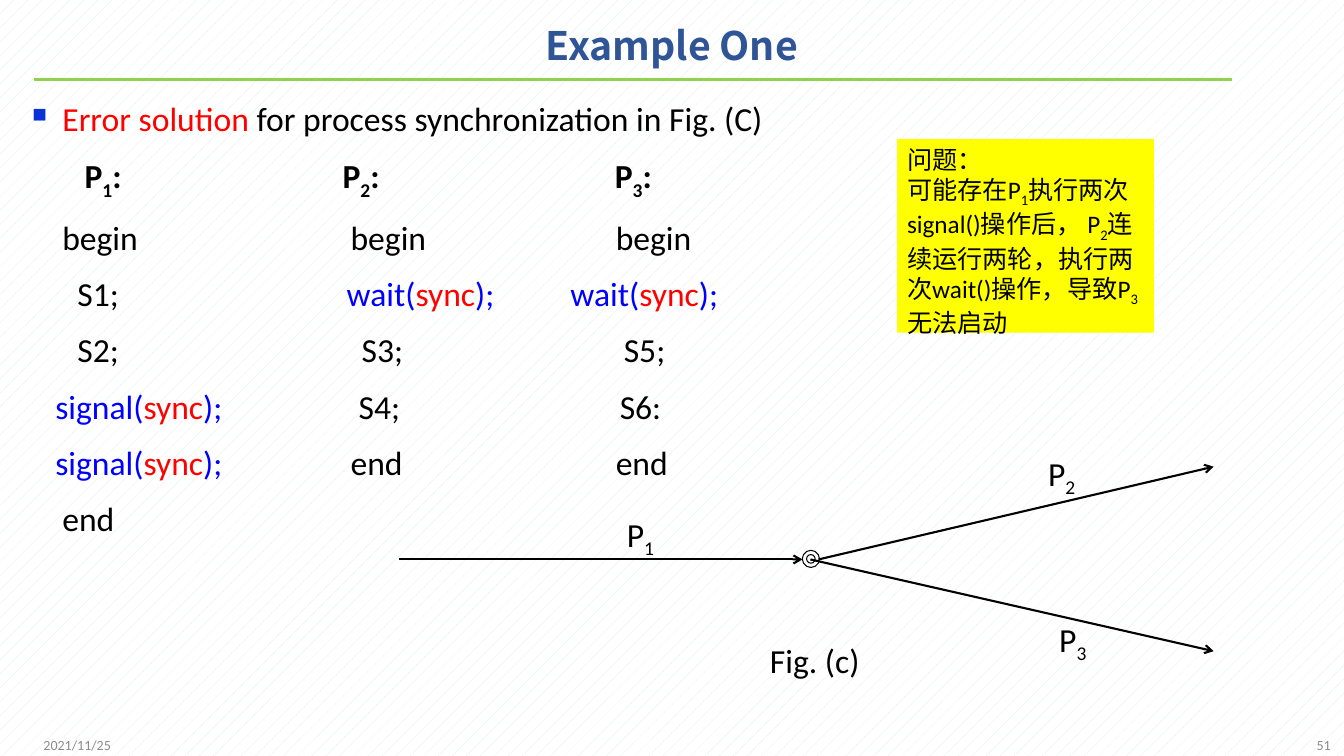
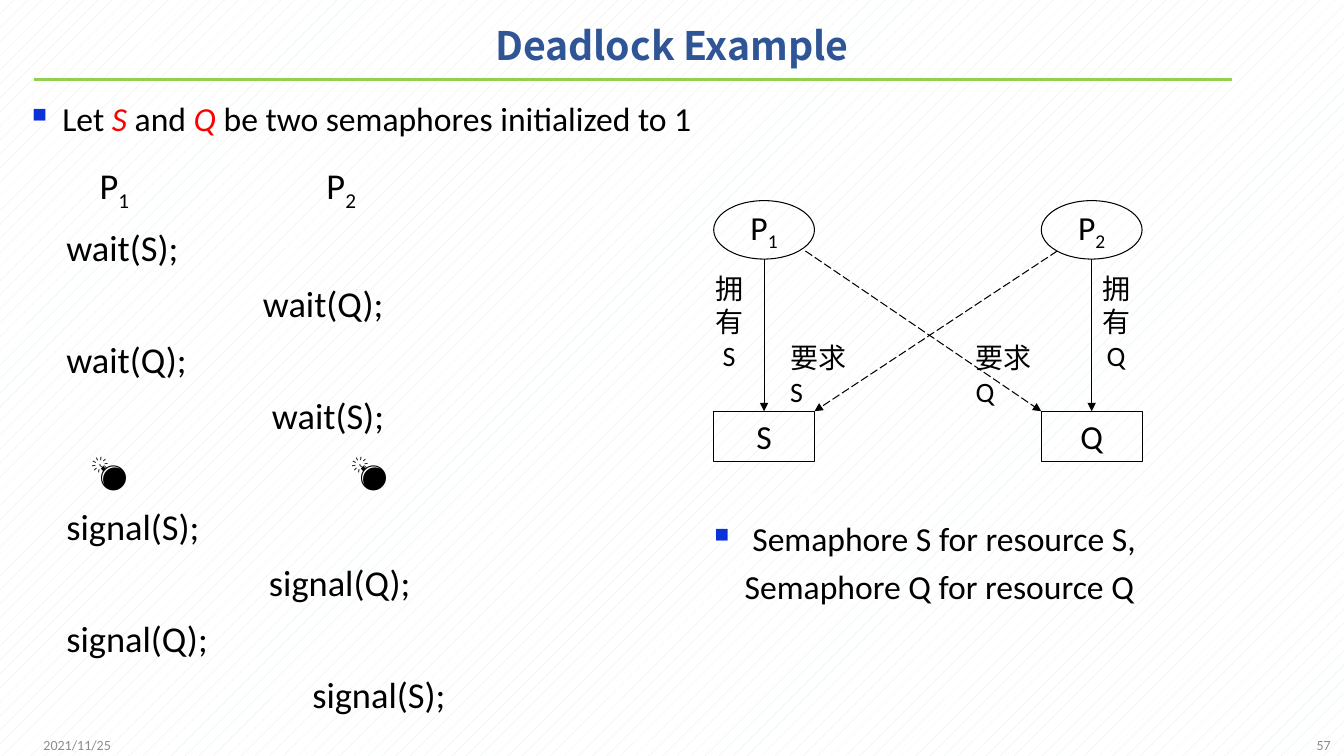
from dataclasses import dataclass
from lxml import etree
from pptx import Presentation
from pptx.dml.color import RGBColor as RGB
from pptx.enum.dml import MSO_LINE as Dash, MSO_PATTERN as Hatch
from pptx.enum.shapes import MSO_CONNECTOR as Link, MSO_SHAPE as Kind
from pptx.enum.text import MSO_ANCHOR as Anchor, PP_ALIGN as Align
from pptx.oxml.ns import qn
from pptx.util import Inches, Pt


@dataclass(frozen=True)
class Theme:
    face: str = "Calibri"
    head: str = "Noto Sans CJK SC"
    ink: str = "000000"
    title: str = "2F5597"
    rule: str = "92D050"
    red: str = "FF0000"
    blue: str = "0000FF"
    mark: str = "0B32D9"
    note: str = "FFFF00"
    grey: str = "8C8C8C"
    paper: str = "FFFFFF"
    weave: str = "DCECE0"
    big: int = 28
    code: int = 26
    text: int = 24
    tag: int = 20
    small: int = 18
    foot: int = 10


T = Theme()
deck = Presentation()
deck.slide_width, deck.slide_height = Inches(13.33), Inches(7.5)
COL, ROW = deck.slide_width / 40, deck.slide_height / 30
TINT = {"r": T.red, "u": T.blue}
LEFT, MID, RIGHT = Align.LEFT, Align.CENTER, Align.RIGHT


def box(page, spot, lines, kind=None, size=T.text, color=T.ink, face=T.face, bold=False,
        fill=None, edge=None, wrap=False, anchor=Anchor.TOP, align=LEFT, lead=1.0, gap=0):
    x, y, w, h = spot
    area = [int(v) for v in (x * COL, y * ROW, w * COL, h * ROW)]
    if kind is None:
        shape = page.shapes.add_textbox(*area)
    else:
        shape = page.shapes.add_shape(kind, *area)
        shape.shadow.inherit = False
        if fill:
            shape.fill.solid()
            shape.fill.fore_color.rgb = RGB.from_string(fill)
        else:
            shape.fill.background()
        if edge:
            shape.line.color.rgb = RGB.from_string(edge)
            shape.line.width = Pt(0.75)
        else:
            shape.line.fill.background()
    frame = shape.text_frame
    for key, val in {"word_wrap": wrap, "vertical_anchor": anchor}.items():
        setattr(frame, key, val)
    for n, (style, stops, words) in enumerate(lines):
        para = frame.add_paragraph() if n else frame.paragraphs[0]
        props = para._p.get_or_add_pPr()
        if style == "bullet":
            props.set("marL", str(Inches(0.3)))
            props.set("indent", str(-Inches(0.3)))
            hue = etree.SubElement(props, qn("a:buClr"))
            etree.SubElement(hue, qn("a:srgbClr"), val=T.mark)
            etree.SubElement(props, qn("a:buSzPct"), val="60000")
            etree.SubElement(props, qn("a:buChar"), char="■")
        if stops:
            tabs = etree.SubElement(props, qn("a:tabLst"))
            for stop in stops:
                etree.SubElement(tabs, qn("a:tab"), pos=str(int(stop * COL)), algn="l")
        form = {"alignment": align, "line_spacing": lead, "space_before": Pt(gap if n else 0)}
        for key, val in form.items():
            setattr(para, key, val)
        for chunk in words.split("{"):
            head, close, tail = chunk.partition("}")
            flags, _, inner = head.partition("=") if close else ("", "", "")
            for marks, part in ((flags, inner), ("", tail if close else head)):
                if not part:
                    continue
                run = para.add_run()
                run.text = part
                look = {"name": face, "size": Pt(size), "bold": bold or "b" in marks,
                        "italic": "i" in marks}
                for key, val in look.items():
                    setattr(run.font, key, val)
                tint = next((TINT[m] for m in marks if m in TINT), color)
                run.font.color.rgb = RGB.from_string(tint)
                if "s" in marks:
                    run._r.get_or_add_rPr().set("baseline", "-25000")


def line(page, ends, color=T.ink, width=0.75, tip=None, dash=None):
    x1, y1, x2, y2 = ends
    link = page.shapes.add_connector(
        Link.STRAIGHT, *[int(v) for v in (x1 * COL, y1 * ROW, x2 * COL, y2 * ROW)])
    link.line.color.rgb = RGB.from_string(color)
    link.line.width = Pt(width)
    if dash:
        link.line.dash_style = dash
    if tip:
        etree.SubElement(link.line._get_or_add_ln(), qn("a:tailEnd"), type=tip)
    etree.SubElement(link._element.spPr, qn("a:effectLst"))


back = deck.slide_master.background.fill
back.patterned()
back.pattern = Hatch.PERCENT_5
back.fore_color.rgb = RGB.from_string(T.weave)
back.back_color.rgb = RGB.from_string(T.paper)

pages = []
for title, number in (("Example One", "51"), ("Deadlock Example", "57")):
    page = deck.slides.add_slide(deck.slide_layouts[6])
    line(page, (1, 3.16, 36.66, 3.16), T.rule, 2.25)
    box(page, (1.02, 0.36, 37.95, 3.08), [("", (), title)], size=T.big, color=T.title,
        face=T.head, bold=True, wrap=True, anchor=Anchor.MIDDLE, align=MID, lead=0.9)
    for x, words, side in ((1, "2021/11/25", LEFT), (30.9, number, RIGHT)):
        box(page, (x, 28.76, 9, 1.6), [("", (), words)], size=T.foot, color=T.grey,
            wrap=True, anchor=Anchor.MIDDLE, align=side)
    pages.append(page)
sync, lock = pages

BODY = (0.66, 3.36, 38.82, 25.44)
LIST = {"wrap": True, "lead": 1.2, "gap": 5.6}
WAIT = "{u=wait(}{r=sync}{u=);}"
SEND = "{u=signal(}{r=sync}{u=);}"
box(sync, BODY, [
    ("bullet", (), "{r=Error solution }for process synchronization in Fig. (C)"),
    ("", (1.56, 9.24, 17.34), "".join("\t{b=P}{bs=%d}{b=:}" % n for n in (1, 2, 3))),
    ("", (0.9, 9.48, 17.37), "\tbegin\tbegin\tbegin"),
    ("", (1.35, 9.36, 16.02), f"\tS1;\t{WAIT}\t{WAIT}"),
    ("", (1.35, 9.81, 17.61), "\tS2;\tS3;\tS5;"),
    ("", (0.69, 9.72, 17.49), f"\t{SEND}\tS4;\tS6:"),
    ("", (0.69, 9.48, 17.37), f"\t{SEND}\tend\tend"),
    ("", (0.9,), "\tend"),
], **LIST)

for x, y, w, words in (
    (18.36, 20.2, 1.47, "P{s=1}"),
    (30.9, 17.76, 1.47, "P{s=2}"),
    (31.23, 24.36, 1.47, "P{s=3}"),
    (22.62, 25.2, 3.3, "Fig. (c)"),
):
    box(sync, (x, y, w, 2), [("", (), words)])
for ends in ((11.88, 22.2, 23.88, 22.2), (24.36, 22.2, 36.12, 18.52),
             (24.12, 22.2, 36.12, 25.84)):
    line(sync, ends, width=1.5, tip="arrow")
box(sync, (23.88, 21.84, 0.51, 0.68), [], Kind.DONUT, edge=T.ink)
box(sync, (26.7, 5.52, 7.65, 7.68), [
    ("", (), "问题："),
    ("", (), "可能存在P{s=1}执行两次signal()操作后， P{s=2}连续运行两轮，"
             "执行两次wait()操作，导致P{s=3}无法启动"),
], Kind.RECTANGLE, size=T.small, fill=T.note, wrap=True)

box(lock, BODY, [
    ("bullet", (), "Let {ri=S }and {ri=Q} be two semaphores initialized to 1"),
], **LIST)
box(lock, (1.68, 6.08, 15.93, 23.12), [
    ("", (0.99, 7.74), "\tP{s=1}\tP{s=2}"),
    ("", (), "wait(S);"),
    ("", (5.85,), "\twait(Q);"),
    ("", (), "wait(Q);"),
    ("", (6.12,), "\twait(S);"),
    ("", (0.72, 8.46), "\t💣\t💣"),
    ("", (), "signal(S);"),
    ("", (6.03,), "\tsignal(Q);"),
    ("", (), "signal(Q);"),
    ("", (7.32,), "\tsignal(S);"),
], size=T.code, wrap=True, lead=1.1, gap=5.6)

NODE = {"edge": T.ink, "anchor": Anchor.MIDDLE, "align": MID}
for n, (x, name, own, need) in enumerate(
        ((21.24, "S", 20.97, 23.22), (30.99, "Q", 32.49, 28.74)), 1):
    box(lock, (x, 7.96, 3, 2.32), [("", (), "P{s=%d}" % n)], Kind.OVAL, **NODE)
    box(lock, (x, 16.32, 3, 2), [("", (), name)], Kind.RECTANGLE, **NODE)
    line(lock, (x + 1.5, 10.28, x + 1.5, 16.32), tip="triangle")
    box(lock, (own, 10.56, 1.46, 4.44), [("", (), w) for w in ("拥", "有", name)],
        size=T.tag, align=MID)
    box(lock, (need, 13.32, 2.8, 3), [("", (), w) for w in ("要求", name)],
        size=T.tag, wrap=True)
for ends in ((23.97, 9.96, 30.99, 16.32), (31.47, 9.96, 24.24, 16.32)):
    line(lock, ends, tip="triangle", dash=Dash.LONG_DASH)
box(lock, (20.97, 20.04, 15.93, 4.16), [
    ("bullet", (), " Semaphore S for resource S, Semaphore Q for resource Q"),
], **LIST)

deck.save("out.pptx")
